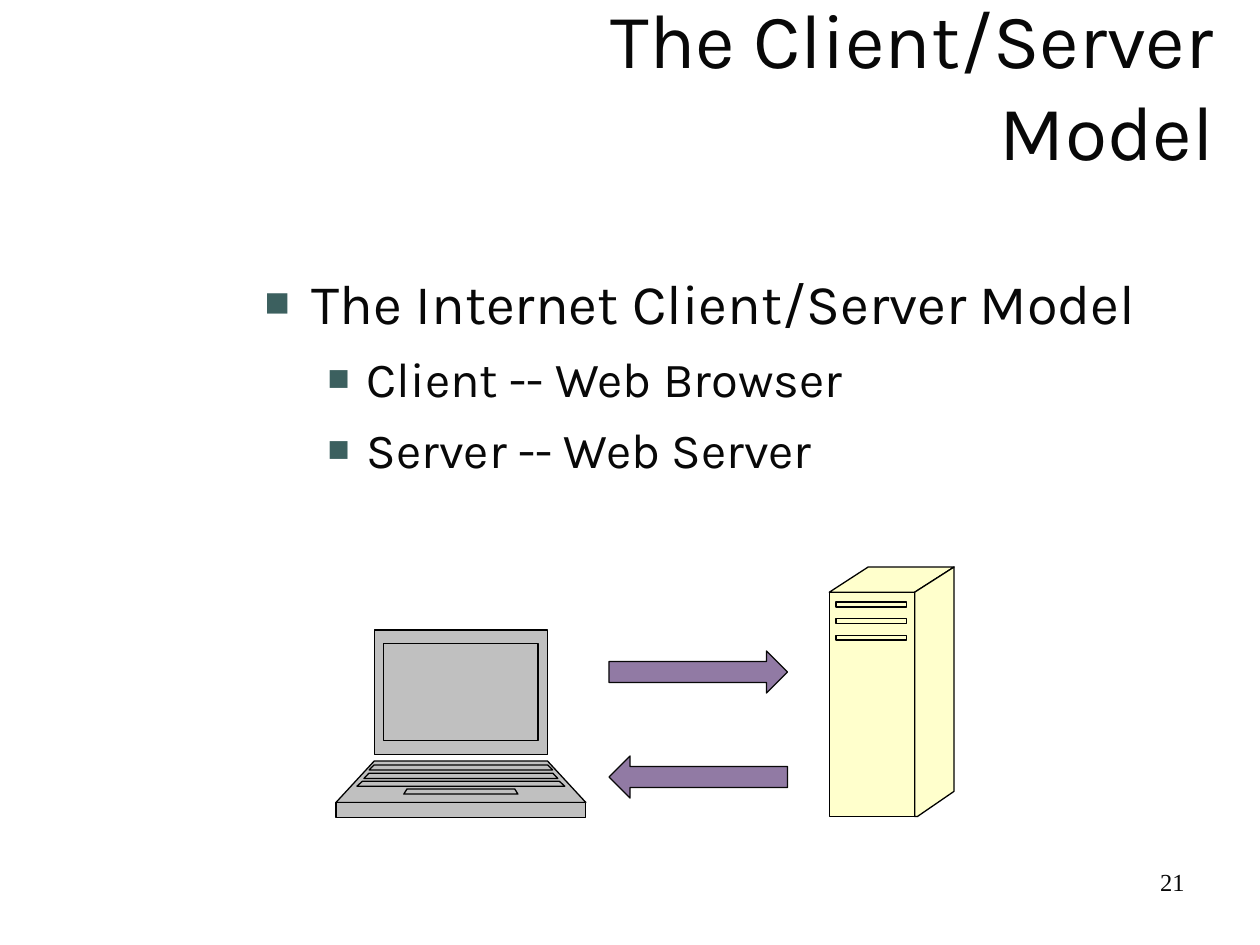
"""Build the Client/Server Model slide with a laptop, a server and two arrows."""
from lxml import etree
from pptx import Presentation
from pptx.dml.color import RGBColor
from pptx.enum import shapes, text
from pptx.oxml import ns
from pptx.util import Pt

INK = RGBColor(0x08, 0x08, 0x08)
BLACK = RGBColor(0, 0, 0)
TEAL = RGBColor(0x3C, 0x60, 0x5F)
GREY = RGBColor(0xC0, 0xC0, 0xC0)
CREAM = RGBColor(0xFF, 0xFF, 0xCC)
PURPLE = RGBColor(0x91, 0x7A, 0xA4)

TITLE = "The Client/Server\vModel"
POINTS = [
    (0, "The Internet Client/Server Model"),
    (1, "Client -- Web Browser"),
    (1, "Server -- Web Server"),
]
LEVELS = [
    {"size": 32, "indent": 27, "hang": 27, "before": 8},
    {"size": 28, "indent": 58.5, "hang": 22.5, "before": 7},
]
PAGE = "21"

LAPTOP_CENTRE = 263.4
LAPTOP_PARTS = {  # half width at top, half width at bottom, top, bottom
    "lid": (49.5, 49.5, 360, 431.2),
    "deck": (49.5, 71.4, 434.9, 458.6),
    "front edge": (71.4, 71.4, 458.6, 467.2),
    "screen": (44, 44, 367.7, 423.2),
    "upper keys": (49.7, 52.4, 437.2, 440),
    "middle keys": (52.6, 55.4, 441.9, 444.9),
    "lower keys": (56.2, 59.4, 446.4, 449.3),
    "touchpad": (30.8, 32.6, 450.9, 453.8),
}
SERVER_FACES = [
    [(473.9, 338.4), (522.7, 338.4), (522.7, 466.6), (473.9, 466.6)],
    [(473.9, 338.4), (496.1, 324), (545.2, 324), (522.7, 338.4)],
    [(522.7, 338.4), (545.2, 324), (545.2, 452.2), (524.2, 466.6), (522.7, 466.6)],
]
SLOT_LEFT, SLOT_RIGHT, SLOT_TOP, SLOT_HEIGHT, SLOT_STEP = 477.8, 518, 344, 2.8, 9.5
ARROWS = [(372, 0), (432, 180)]


def place(box, left, top, width, height):
    box.left, box.top, box.width, box.height = map(Pt, (left, top, width, height))
    box.text_frame.word_wrap = True
    box.text_frame.auto_size = text.MSO_AUTO_SIZE.NONE


def style_font(paragraph, name, size):
    paragraph.font.name = name
    paragraph.font.size = Pt(size)
    paragraph.font.color.rgb = INK


def add_bullet(paragraph, indent, hang):
    props = paragraph._p.get_or_add_pPr()
    props.set("marL", str(Pt(indent)))
    props.set("indent", str(-Pt(hang)))
    colour = etree.SubElement(props, ns.qn("a:buClr"))
    etree.SubElement(colour, ns.qn("a:srgbClr"), val=str(TEAL))
    etree.SubElement(props, ns.qn("a:buSzPct"), val="75000")
    etree.SubElement(props, ns.qn("a:buChar"), char="■")


def paint(shape, fill, line):
    shape.shadow.inherit = False
    shape.fill.solid()
    shape.fill.fore_color.rgb = fill
    shape.line.color.rgb = line
    shape.line.width = Pt(0.75)


def fill_contours_separately(drawing):
    joined = next(drawing._element.iter(ns.qn("a:path")))
    outlines = joined.getparent()
    for step in list(joined):
        if step.tag == ns.qn("a:moveTo"):
            contour = etree.SubElement(outlines, ns.qn("a:path"), dict(joined.attrib))
        contour.append(step)
    outlines.remove(joined)


def add_outline(slide, contours, fill):
    contours = [[(Pt(x), Pt(y)) for x, y in corners] for corners in contours]
    builder = slide.shapes.build_freeform(*contours[0][0])
    for index, (start, *rest) in enumerate(contours):
        if index:
            builder.move_to(*start)
        builder.add_line_segments(rest, close=True)
    drawing = builder.convert_to_shape()
    fill_contours_separately(drawing)
    paint(drawing, fill, BLACK)


def add_texts(slide):
    title = slide.shapes.title
    place(title, 120, 6, 581, 84)
    title.text_frame.text = TITLE
    title.text_frame.vertical_anchor = text.MSO_ANCHOR.MIDDLE
    heading = title.text_frame.paragraphs[0]
    heading.alignment = text.PP_ALIGN.RIGHT
    style_font(heading, "Karla", 44)

    body = slide.placeholders[1]
    place(body, 144, 150, 567, 330)
    body.text_frame.text = "\n".join(words for _, words in POINTS)
    for row, (paragraph, (level, _)) in enumerate(zip(body.text_frame.paragraphs, POINTS)):
        look = LEVELS[level]
        paragraph.level = level
        paragraph.space_before = Pt(look["before"] if row else 0)
        add_bullet(paragraph, look["indent"], look["hang"])
        style_font(paragraph, "Karla", look["size"])

    page = slide.shapes.add_textbox(0, 0, 0, 0)
    place(page, 516, 492, 168, 37.5)
    page.text_frame.text = PAGE
    number = page.text_frame.paragraphs[0]
    number.alignment = text.PP_ALIGN.RIGHT
    style_font(number, "Times New Roman", 14)


def add_drawing(slide):
    laptop = [
        [(LAPTOP_CENTRE - upper, top), (LAPTOP_CENTRE + upper, top),
         (LAPTOP_CENTRE + lower, bottom), (LAPTOP_CENTRE - lower, bottom)]
        for upper, lower, top, bottom in LAPTOP_PARTS.values()
    ]
    add_outline(slide, laptop, GREY)

    slot_tops = [SLOT_TOP + slot * SLOT_STEP for slot in range(3)]
    slots = [
        [(SLOT_LEFT, top), (SLOT_RIGHT, top),
         (SLOT_RIGHT, top + SLOT_HEIGHT), (SLOT_LEFT, top + SLOT_HEIGHT)]
        for top in slot_tops
    ]
    add_outline(slide, SERVER_FACES + slots, CREAM)

    for top, turn in ARROWS:
        arrow = slide.shapes.add_shape(shapes.MSO_SHAPE.RIGHT_ARROW,
                                       Pt(348), Pt(top), Pt(102), Pt(24))
        arrow.rotation = turn
        paint(arrow, PURPLE, INK)


def main():
    deck = Presentation()
    deck.slide_width, deck.slide_height = Pt(720), Pt(540)
    slide = deck.slides.add_slide(deck.slide_layouts[1])
    add_texts(slide)
    add_drawing(slide)
    deck.save("out.pptx")


if __name__ == "__main__":
    main()
